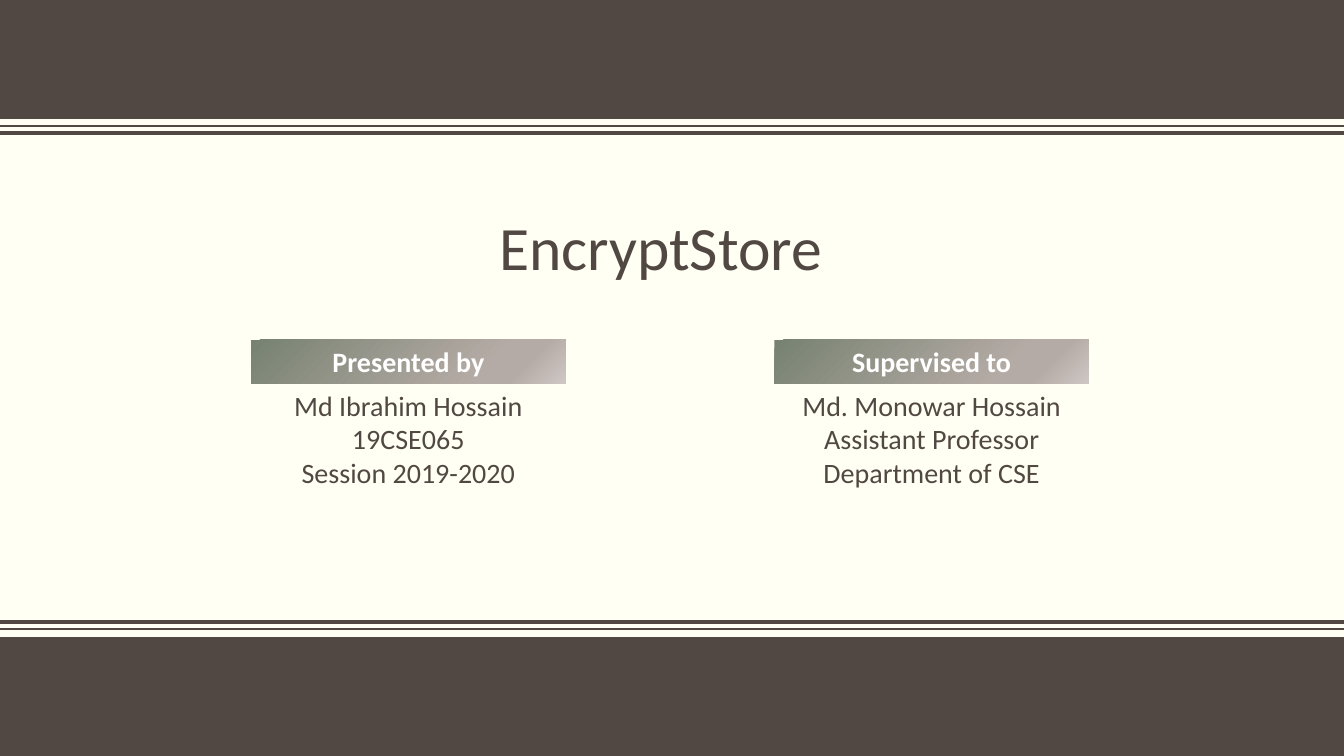
from dataclasses import dataclass

from lxml import etree
from pptx import Presentation
from pptx import util as u
from pptx.dml import color
from pptx.enum import shapes, text
from pptx.oxml import ns
from pptx.shapes.autoshape import Shape
from pptx.slide import Slide

WIDTH, HEIGHT = 13.33, 7.5
BAND_HEIGHT = 1.18
FONT = "Calibri"
COLOURS = {
    "cream": "FFFFF3",
    "brown": "514843",
    "white": "FFFFFF",
    "sage": "778271",
    "taupe": "B5ABA6",
    "mist": "CEC7C4",
}
LABEL_STOPS = ((0, "sage"), (74, "taupe"), (83, "taupe"), (100, "mist"))


@dataclass(frozen=True)
class Rule:
    y: float
    weight: float


@dataclass(frozen=True)
class Person:
    left: float
    label: str
    lines: tuple[str, ...]


RULES = (Rule(1.25, 1), Rule(1.32, 3), Rule(6.17, 3), Rule(6.24, 1))
PEOPLE = (
    Person(2.49, "Presented by",
           ("Md Ibrahim Hossain", "19CSE065", "Session 2019-2020")),
    Person(7.68, "Supervised to",
           ("Md. Monowar Hossain", "Assistant Professor", "Department of CSE")),
)


def rgb(name: str) -> color.RGBColor:
    return color.RGBColor.from_string(COLOURS[name])


def write_text(shape: Shape, *lines: str, size: float = 20,
               colour: str = "brown", bold: bool = False,
               align: text.PP_ALIGN = text.PP_ALIGN.CENTER,
               anchor: text.MSO_ANCHOR = text.MSO_ANCHOR.TOP,
               side_margin: float = 0.1, line_spacing: float = 1.0) -> None:
    """Fill a shape with one paragraph per line."""
    frame = shape.text_frame
    frame.word_wrap = True
    frame.vertical_anchor = anchor
    frame.margin_left = frame.margin_right = u.Inches(side_margin)
    frame.text = "\n".join(lines)
    for paragraph in frame.paragraphs:
        paragraph.alignment = align
        paragraph.line_spacing = line_spacing
        font = paragraph.runs[0].font
        font.name, font.size, font.bold = FONT, u.Pt(size), bold
        font.color.rgb = rgb(colour)


def add_rectangle(slide: Slide, left: float, top: float,
                  width: float, height: float) -> Shape:
    shape = slide.shapes.add_shape(
        shapes.MSO_SHAPE.RECTANGLE, u.Inches(left), u.Inches(top),
        u.Inches(width), u.Inches(height))
    shape.shadow.inherit = False
    shape.line.fill.background()
    return shape


def add_text_box(slide: Slide, left: float, top: float,
                 width: float, height: float) -> Shape:
    return slide.shapes.add_textbox(
        u.Inches(left), u.Inches(top), u.Inches(width), u.Inches(height))


def add_band(slide: Slide, top: float) -> None:
    band = add_rectangle(slide, 0, top, WIDTH, BAND_HEIGHT)
    band.fill.solid()
    band.fill.fore_color.rgb = rgb("brown")


def add_rule(slide: Slide, rule: Rule) -> None:
    line = slide.shapes.add_connector(
        shapes.MSO_CONNECTOR.STRAIGHT, 0, u.Inches(rule.y),
        u.Inches(WIDTH), u.Inches(rule.y))
    line.line.color.rgb = rgb("brown")
    line.line.width = u.Pt(rule.weight)
    etree.SubElement(line._element.spPr, ns.qn("a:effectLst"))


def fill_with_gradient(shape: Shape) -> None:
    """Run the label colours from top left to bottom right."""
    shape.fill.gradient()
    shape.fill.gradient_angle = 315
    stops = shape._element.spPr.find(".//" + ns.qn("a:gsLst"))
    for old_stop in list(stops):
        stops.remove(old_stop)
    for percent, name in LABEL_STOPS:
        stop = etree.SubElement(stops, ns.qn("a:gs"), pos=str(percent * 1000))
        etree.SubElement(stop, ns.qn("a:srgbClr"), val=COLOURS[name])


def add_person(slide: Slide, person: Person) -> None:
    details = add_text_box(slide, person.left + 0.16, 3.8, 2.8, 1.11)
    write_text(details, *person.lines)
    label = add_rectangle(slide, person.left, 3.37, 3.12, 0.44)
    fill_with_gradient(label)
    write_text(label, person.label, colour="white", bold=True)


def main() -> None:
    presentation = Presentation()
    presentation.slide_width = u.Inches(WIDTH)
    presentation.slide_height = u.Inches(HEIGHT)
    slide = presentation.slides.add_slide(presentation.slide_layouts[6])
    slide.background.fill.solid()
    slide.background.fill.fore_color.rgb = rgb("cream")

    for top in (0, HEIGHT - BAND_HEIGHT):
        add_band(slide, top)
    for rule in RULES:
        add_rule(slide, rule)

    title = add_text_box(slide, 4.95, 2.1, 3.3, 0.78)
    write_text(title, "EncryptStore", size=44, align=text.PP_ALIGN.LEFT,
               anchor=text.MSO_ANCHOR.MIDDLE, side_margin=0, line_spacing=0.9)
    for person in PEOPLE:
        add_person(slide, person)

    presentation.save("out.pptx")


if __name__ == "__main__":
    main()
